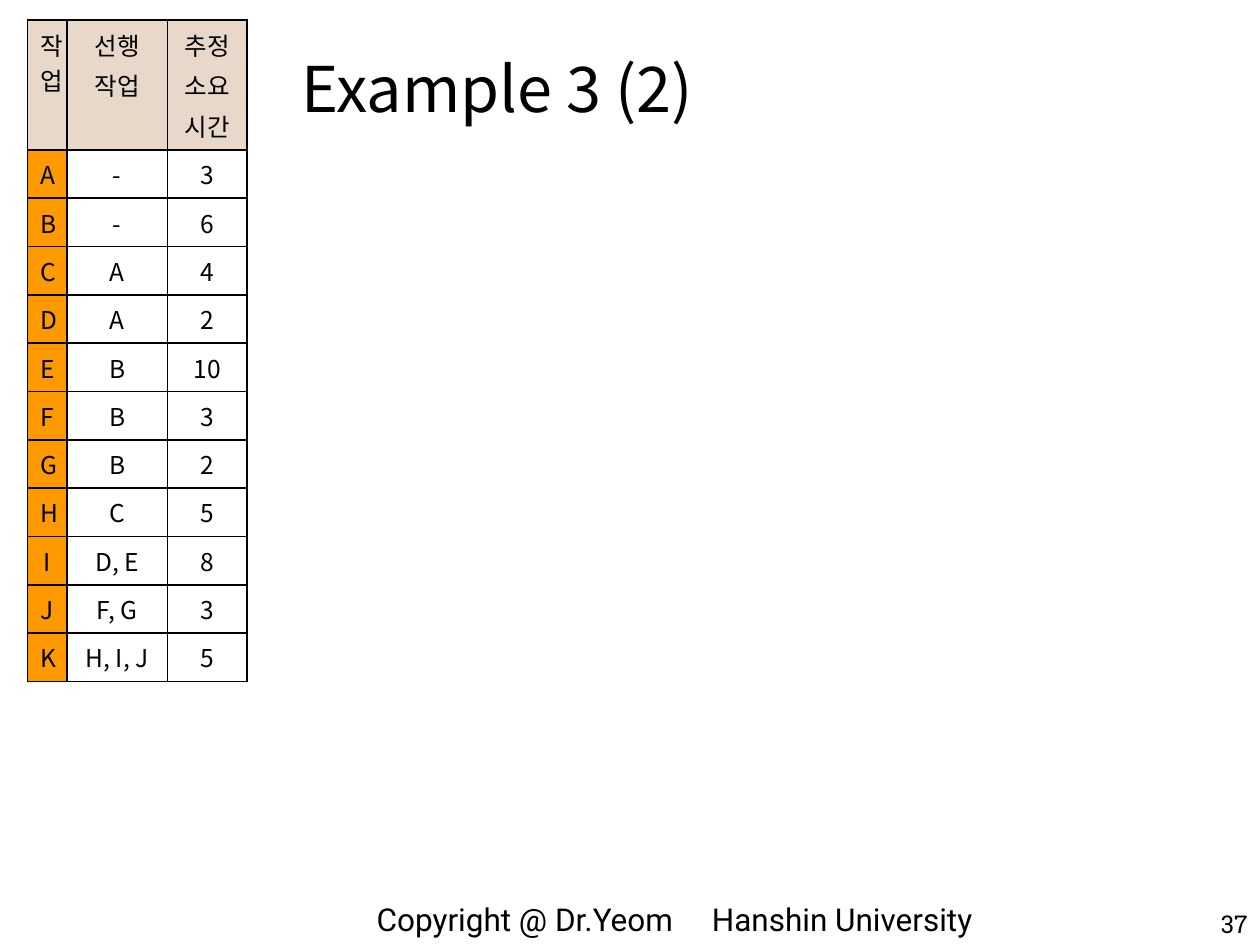
from lxml.etree import SubElement
from pptx import Presentation
from pptx.dml.color import RGBColor
from pptx.enum.text import MSO_ANCHOR, MSO_AUTO_SIZE, PP_ALIGN
from pptx.oxml.ns import qn
from pptx.util import Inches, Pt

COLORS = {"text": "000000", "header": "E8D8CA", "task": "FF9900", "body": "FFFFFF"}
KOREAN_FONT = "Noto Sans CJK KR"


def format_text(frame, font_name, size, align):
    for index, paragraph in enumerate(frame.paragraphs):
        paragraph.alignment = align
        paragraph.space_before = Pt(0.2 * size if index else 0)
        for run in paragraph.runs:
            run.font.name = font_name
            run.font.size = Pt(size)
            run.font.color.rgb = RGBColor.from_string(COLORS["text"])
            SubElement(run.font._element, qn("a:ea"), typeface=font_name)


def add_borders(cell, width):
    properties = cell._tc.get_or_add_tcPr()
    for position, side in enumerate(("a:lnL", "a:lnR", "a:lnT", "a:lnB")):
        line = SubElement(properties, qn(side), w=str(Pt(width)))
        fill = SubElement(line, qn("a:solidFill"))
        SubElement(fill, qn("a:srgbClr"), val=COLORS["text"])
        properties.insert(position, line)


presentation = Presentation()
presentation.slide_width = Inches(10)
presentation.slide_height = Inches(7.5)
slide = presentation.slides.add_slide(presentation.slide_layouts[5])

copyright_line = slide.shapes.add_textbox(Inches(1.95), Inches(7.1), Inches(6.8), Inches(0.39))
copyright_frame = copyright_line.text_frame
copyright_frame.word_wrap = True
copyright_frame.vertical_anchor = MSO_ANCHOR.MIDDLE
copyright_frame.margin_left = Inches(1.04)
copyright_frame.text = "Copyright @ Dr.Yeom\tHanshin University"
tab_list = SubElement(copyright_frame.paragraphs[0]._p.get_or_add_pPr(), qn("a:tabLst"))
SubElement(tab_list, qn("a:tab"), pos=str(Inches(2.66)), algn="l")
format_text(copyright_frame, "Roboto", 18, PP_ALIGN.LEFT)

title = slide.shapes.title
title.left, title.top = Inches(2.29), Inches(0.29)
title.width, title.height = Inches(7.36), Inches(0.75)
title.text_frame.text = "Example 3 (2)"
title.text_frame.auto_size = MSO_AUTO_SIZE.NONE
title.text_frame.vertical_anchor = MSO_ANCHOR.BOTTOM
format_text(title.text_frame, KOREAN_FONT, 36, PP_ALIGN.LEFT)

page_number = slide.shapes.add_textbox(Inches(8.83), Inches(7.17), Inches(1.17), Inches(0.33))
page_number.text_frame.word_wrap = True
page_number.text_frame.vertical_anchor = MSO_ANCHOR.BOTTOM
page_number.text_frame.text = "37"
format_text(page_number.text_frame, "Roboto Slab", 14, PP_ALIGN.RIGHT)

tasks = [
    ("작업", "선행\n작업", "추정\n소요\n시간"),
    ("A", "-", "3"),
    ("B", "-", "6"),
    ("C", "A", "4"),
    ("D", "A", "2"),
    ("E", "B", "10"),
    ("F", "B", "3"),
    ("G", "B", "2"),
    ("H", "C", "5"),
    ("I", "D, E", "8"),
    ("J", "F, G", "3"),
    ("K", "H, I, J", "5"),
]
column_widths = [0.31, 0.8, 0.63]
table_height = 5.25
header_height = 1.03
task_height = (table_height - header_height) / (len(tasks) - 1)

task_table = slide.shapes.add_table(
    len(tasks), len(column_widths), Inches(0.22), Inches(0.16), Inches(1.74), Inches(table_height)
).table
task_table.first_row = False
task_table.horz_banding = False
for column, width in zip(task_table.columns, column_widths):
    column.width = Inches(width)

for row_index, task in enumerate(tasks):
    task_table.rows[row_index].height = Inches(task_height if row_index else header_height)
    for column_index, entry in enumerate(task):
        cell = task_table.cell(row_index, column_index)
        cell.text_frame.text = entry
        format_text(cell.text_frame, KOREAN_FONT, 14, PP_ALIGN.CENTER)
        part = "header" if row_index == 0 else "task" if column_index == 0 else "body"
        cell.fill.solid()
        cell.fill.fore_color.rgb = RGBColor.from_string(COLORS[part])
        add_borders(cell, 1)

presentation.save("out.pptx")
